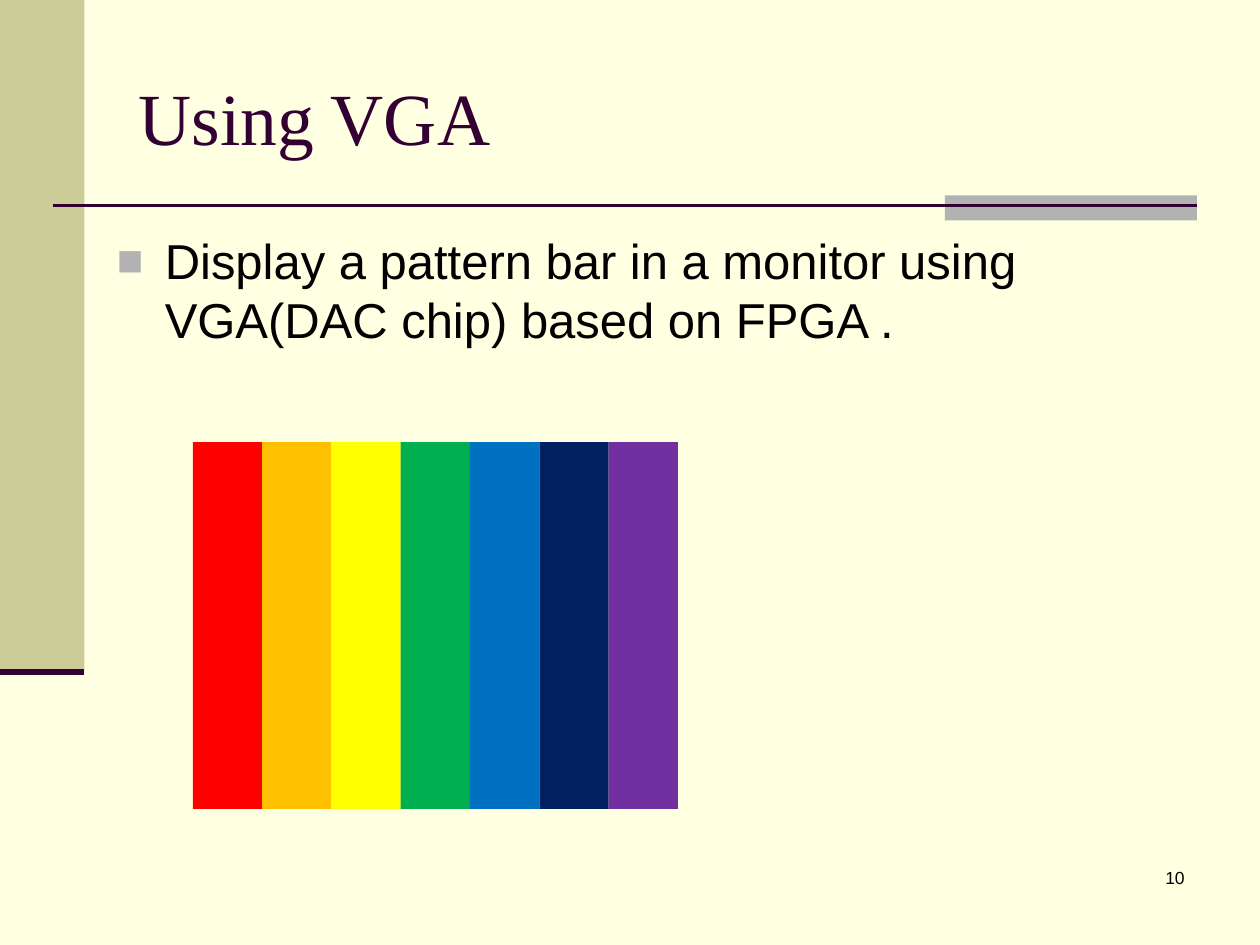
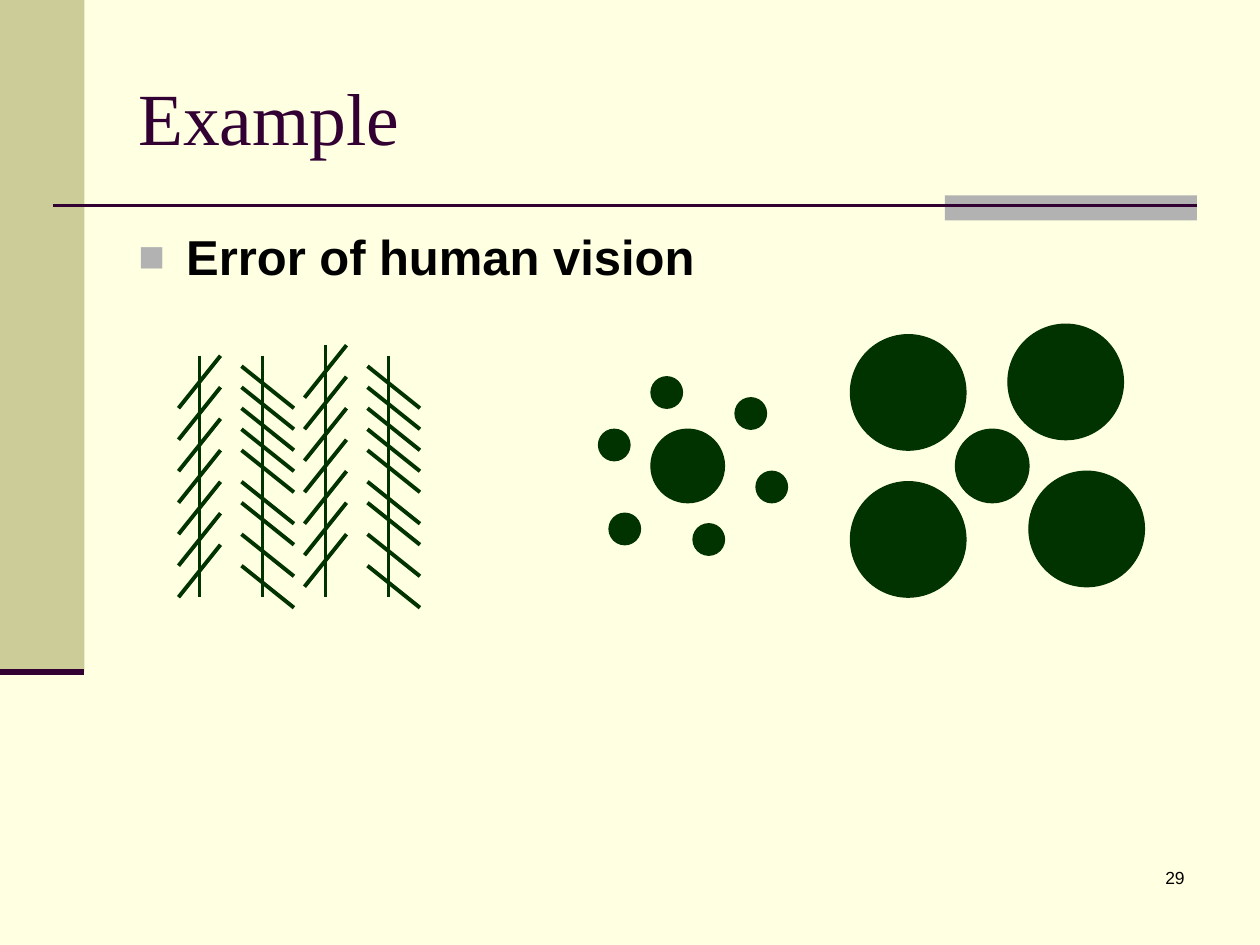
"""Build two slides on VGA colour bars and errors of human vision."""
from lxml import etree
from pptx import Presentation
from pptx.dml.color import RGBColor
from pptx.enum.shapes import MSO_CONNECTOR, MSO_SHAPE
from pptx.enum.text import MSO_ANCHOR, PP_ALIGN
from pptx.oxml.ns import qn
from pptx.util import Inches, Pt

CREAM = RGBColor(0xFF, 0xFF, 0xE1)
KHAKI = RGBColor(0xCC, 0xCC, 0x99)
GREY = RGBColor(0xB2, 0xB2, 0xB2)
PLUM = RGBColor(0x33, 0x00, 0x33)
BLACK = RGBColor(0x00, 0x00, 0x00)
FOREST = RGBColor(0x00, 0x33, 0x00)
RAINBOW = [
    RGBColor(0xFF, 0x00, 0x00),
    RGBColor(0xFF, 0xC0, 0x00),
    RGBColor(0xFF, 0xFF, 0x00),
    RGBColor(0x00, 0xB0, 0x50),
    RGBColor(0x00, 0x70, 0xC0),
    RGBColor(0x00, 0x20, 0x60),
    RGBColor(0x70, 0x30, 0xA0),
]

VGA = {
    "title": "Using VGA",
    "bullet": "Display a pattern bar in a monitor using VGA(DAC chip) based on FPGA .",
    "bullet_at": (0.83, 1.78),
    "bold": False,
    "number": "10",
}
VISION = {
    "title": "Example",
    "bullet": "Error of human vision",
    "bullet_at": (1, 1.75),
    "bold": True,
    "number": "29",
}

BAR_LEFT, BAR_TOP, BAR_WIDTH, BAR_HEIGHT = 1.53, 3.51, 0.55, 2.91

UNIT = 1 / 12
GRID_TOP = 2.74
STEMS = [(19, 1), (25, 1), (31, 1), (31, 0), (37, 1)]
STEM_LENGTH = 23
RISING = [(19, 1), (31, 0)]
RISING_ROWS = range(0, 21, 3)
FALLING = [25, 37]
FALLING_ROWS = [2, 4, 6, 8, 10, 13, 15, 18, 21]
CIRCLES = {
    7: [(62, 8), (91, 8)],
    3: [(58, 16), (57, 8), (62, 3), (70, 5), (72, 12), (66, 17)],
    11: [(81, -1), (81, 13), (96, -2), (98, 12)],
}


def add_block(s, kind, left, top, width, height, colour, outline=None):
    sp = s.shapes.add_shape(kind, Inches(left), Inches(top), Inches(width), Inches(height))
    sp.shadow.inherit = False
    sp.fill.solid()
    sp.fill.fore_color.rgb = colour
    if outline:
        sp.line.color.rgb = colour
        sp.line.width = Pt(outline)
    else:
        sp.line.fill.background()


def add_line(s, x1, y1, x2, y2, colour, weight):
    line = s.shapes.add_connector(
        MSO_CONNECTOR.STRAIGHT, Inches(x1), Inches(y1), Inches(x2), Inches(y2))
    line.line.color.rgb = colour
    line.line.width = Pt(weight)
    etree.SubElement(line._element.spPr, qn("a:effectLst"))


def add_stroke(s, x1, y1, x2, y2):
    add_line(s, x1 * UNIT, GRID_TOP + y1 * UNIT, x2 * UNIT, GRID_TOP + y2 * UNIT,
             FOREST, 2.25)


def add_text(s, text, left, top, width, height, size, colour,
             font="Arial", bold=False, anchor=MSO_ANCHOR.TOP, align=PP_ALIGN.LEFT):
    tf = s.shapes.add_textbox(
        Inches(left), Inches(top), Inches(width), Inches(height)).text_frame
    tf.word_wrap = True
    tf.vertical_anchor = anchor
    p = tf.paragraphs[0]
    p.alignment = align
    r = p.add_run()
    r.text = text
    r.font.name, r.font.size, r.font.bold = font, Pt(size), bold
    r.font.color.rgb = colour
    return p


def add_bullet(p):
    pPr = p._p.get_or_add_pPr()
    pPr.set("marL", str(Inches(0.38)))
    pPr.set("indent", str(-Inches(0.38)))
    colour = etree.SubElement(pPr, qn("a:buClr"))
    etree.SubElement(colour, qn("a:srgbClr"), val=str(GREY))
    etree.SubElement(pPr, qn("a:buSzPct"), val="90000")
    etree.SubElement(pPr, qn("a:buFont"), typeface="Arial")
    etree.SubElement(pPr, qn("a:buChar"), char="■")


def add_base(prs, content):
    s = prs.slides.add_slide(prs.slide_layouts[6])
    s.background.fill.solid()
    s.background.fill.fore_color.rgb = CREAM
    add_block(s, MSO_SHAPE.RECTANGLE, 0, 0, 0.67, 5.33, KHAKI)
    add_block(s, MSO_SHAPE.RECTANGLE, 7.5, 1.55, 2, 0.2, GREY)
    add_line(s, 0.42, 1.63, 9.5, 1.63, PLUM, 1.5)
    add_line(s, 0, 5.33, 0.67, 5.33, PLUM, 3.5)
    add_text(s, content["title"], 1, 0.3, 8.5, 1.25, 42, PLUM,
             font="Times New Roman", anchor=MSO_ANCHOR.MIDDLE)
    add_bullet(add_text(s, content["bullet"], *content["bullet_at"], 8.5, 4.95, 28, BLACK,
                        bold=content["bold"]))
    add_text(s, content["number"], 7.42, 6.83, 2.08, 0.5, 10, BLACK, align=PP_ALIGN.RIGHT)
    return s


def add_colour_bars(s):
    for i, colour in enumerate(RAINBOW):
        add_block(s, MSO_SHAPE.RECTANGLE, BAR_LEFT + i * BAR_WIDTH, BAR_TOP,
                  BAR_WIDTH, BAR_HEIGHT, colour)


def add_hatched_stems(s):
    for x, top in STEMS:
        add_stroke(s, x, top, x, top + STEM_LENGTH)
    for x, top in RISING:
        for row in RISING_ROWS:
            add_stroke(s, x + 2, top + row, x - 2, top + row + 5)
    for x in FALLING:
        for row in FALLING_ROWS:
            add_stroke(s, x - 2, row, x + 3, row + 4)


def add_circles(s):
    for size, places in CIRCLES.items():
        for x, y in places:
            add_block(s, MSO_SHAPE.OVAL, x * UNIT, GRID_TOP + y * UNIT,
                      size * UNIT, size * UNIT, FOREST, outline=0.75)


def main():
    prs = Presentation()
    prs.slide_width, prs.slide_height = Inches(10), Inches(7.5)
    add_colour_bars(add_base(prs, VGA))
    vision = add_base(prs, VISION)
    add_hatched_stems(vision)
    add_circles(vision)
    prs.save("out.pptx")


if __name__ == "__main__":
    main()
